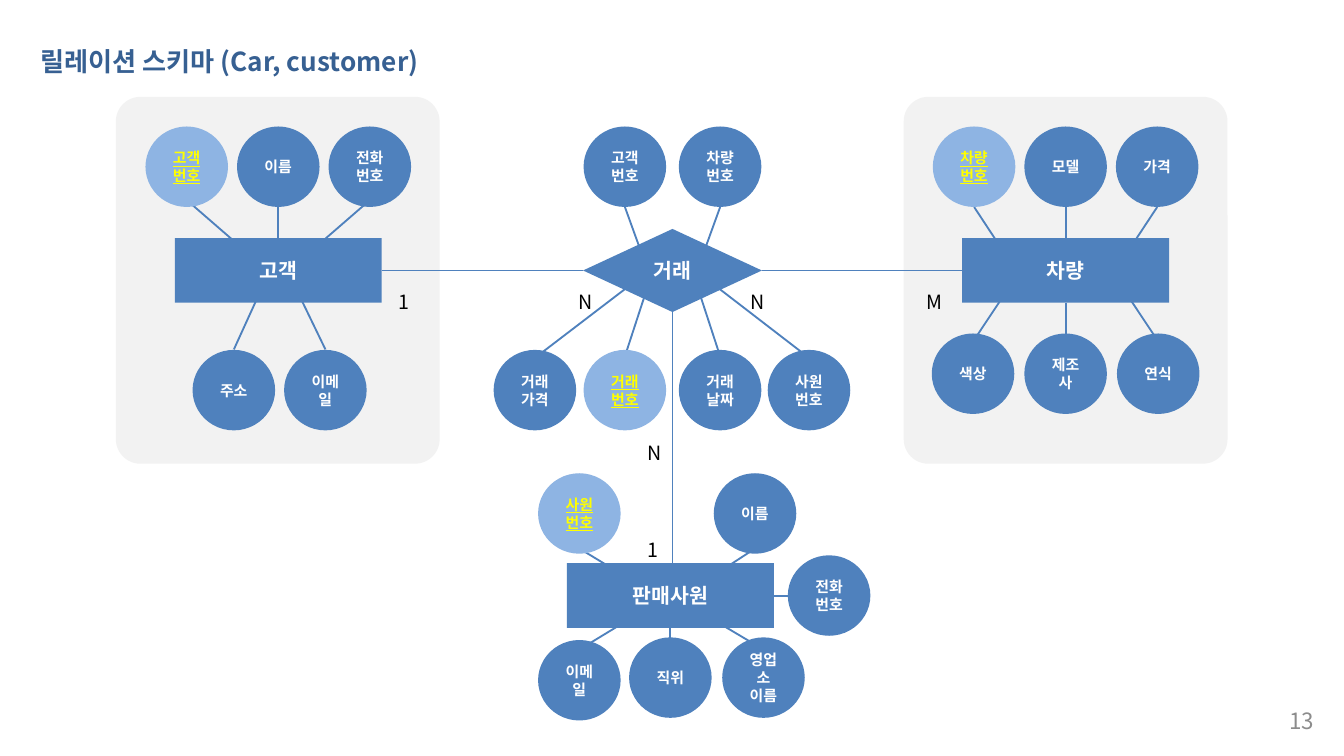
from pptx import Presentation
from pptx.dml.color import RGBColor
from pptx.enum.shapes import MSO_CONNECTOR, MSO_SHAPE as Shape
from pptx.enum.text import MSO_ANCHOR as Anchor, PP_ALIGN as Align
from pptx.oxml.ns import qn
from pptx.util import Cm, Pt
from lxml import etree

FONT = "Noto Sans CJK KR"
BLUE = RGBColor(0x4F, 0x81, 0xBD)
LIGHT_BLUE = RGBColor(0x8E, 0xB4, 0xE3)
TITLE_BLUE = RGBColor(0x37, 0x60, 0x92)
PANEL_GRAY = RGBColor(0xF2, 0xF2, 0xF2)
PAGE_GRAY = RGBColor(0x8C, 0x8C, 0x8C)
YELLOW = RGBColor(0xFF, 0xFF, 0x00)
WHITE = RGBColor(0xFF, 0xFF, 0xFF)
BLACK = RGBColor(0, 0, 0)

CIRCLE = (1.56, 1.52)
BOX = (3.91, 1.22)
DIAMOND = (3.38, 1.57)

# Entities and relationship: shape, size, centre (cm)
NODES = {
    "고객": (Shape.RECTANGLE, BOX, 5.26, 5.11),
    "차량": (Shape.RECTANGLE, BOX, 20.14, 5.11),
    "거래": (Shape.DIAMOND, DIAMOND, 12.71, 5.11),
    "판매사원": (Shape.RECTANGLE, BOX, 12.67, 11.25),
}

# Attribute rows: owner, centre y, link start y, link end y,
# share of the horizontal offset kept at the owner, {centre x: name}
ROWS = [
    ("고객", 3.15, 3.78, 4.65, 0.42, {3.53: "*고객\n번호", 5.26: "이름", 6.99: "전화번호"}),
    ("고객", 7.37, 6.6, 5.46, 0.38, {4.42: "주소", 6.15: "이메일"}),
    ("거래", 3.15, 3.91, 5.03, 0.55, {11.81: "고객번호", 13.61: "차량번호"}),
    ("거래", 7.37, 6.73, 5.49, 0.55, {11.81: "*거래번호", 13.61: "거래날짜"}),
    ("거래", 7.37, 6.76, 5.33, 0.28, {10.11: "거래가격", 15.29: "사원번호"}),
    ("차량", 3.15, 3.91, 4.75, 0.68, {18.41: "*차량\n번호", 20.14: "모델", 21.87: "가격"}),
    ("차량", 7.06, 6.45, 5.61, 0.68, {18.39: "색상", 20.14: "제조사", 21.89: "연식"}),
    ("판매사원", 9.7, 10.36, 10.82, 0.56, {10.95: "*사원번호", 14.27: "이름"}),
    ("판매사원", 12.85, 12.27, 11.81, 0.56, {10.95: "이메일"}),
    ("판매사원", 12.8, 12.27, 11.81, 0.56, {12.67: "직위", 14.43: "영업소\n이름"}),
]

# Cardinalities: text, left, top, alignment
CARDINALITIES = [
    ("1", 7.29, 5.18, Align.LEFT),
    ("N", 10.69, 5.18, Align.CENTER),
    ("N", 13.94, 5.18, Align.CENTER),
    ("M", 17.27, 5.18, Align.CENTER),
    ("N", 11.99, 8.03, Align.CENTER),
    ("1", 11.99, 9.86, Align.LEFT),
]


def write(shape, text, size, color, align, bold=False, underline=None):
    paragraph = shape.text_frame.paragraphs[0]
    paragraph.text = text
    paragraph.alignment = align
    font = paragraph.font
    font.name, font.size, font.bold, font.underline = FONT, Pt(size), bold, underline
    font.color.rgb = color
    for run in paragraph.runs:
        fonts = run._r.get_or_add_rPr()
        etree.SubElement(fonts, qn("a:ea")).set("typeface", FONT)
    return paragraph


def add_filled(slide, kind, left, top, width, height, color):
    shape = slide.shapes.add_shape(kind, Cm(left), Cm(top), Cm(width), Cm(height))
    shape.shadow.inherit = False
    shape.fill.solid()
    shape.fill.fore_color.rgb = color
    shape.line.fill.background()
    return shape


def add_node(slide, kind, size, x, y, text, font_size, fill=BLUE, color=WHITE, underline=None):
    width, height = size
    shape = add_filled(slide, kind, x - width / 2, y - height / 2, width, height, fill)
    shape.text_frame.word_wrap = True
    shape.text_frame.vertical_anchor = Anchor.MIDDLE
    write(shape, text, font_size, color, Align.CENTER, True, underline)
    return shape


def add_attribute(slide, x, y, name):
    """Names that start with * are keys."""
    style = (LIGHT_BLUE, YELLOW, True) if name.startswith("*") else ()
    return add_node(slide, Shape.OVAL, CIRCLE, x, y, name.lstrip("*"), 8, *style)


def add_link(slide, x1, y1, x2, y2):
    link = slide.shapes.add_connector(MSO_CONNECTOR.STRAIGHT, Cm(x1), Cm(y1), Cm(x2), Cm(y2))
    link.line.color.rgb = BLUE
    link.line.width = Pt(1)
    etree.SubElement(link._element.spPr, qn("a:effectLst"))
    return link


def add_row_links(slide, owner, start_y, end_y, share, names):
    """Return the straight links, as (link, owner, side)."""
    centre = NODES[owner][2]
    straight = []
    for x in names:
        link = add_link(slide, x, start_y, centre + (x - centre) * share, end_y)
        if x == centre:
            straight.append((link, owner, 0 if start_y < end_y else 2))
    return straight


def add_text(slide, text, left, top, width, height, size, color, align=Align.LEFT,
             anchor=Anchor.MIDDLE, bold=False):
    box = slide.shapes.add_textbox(Cm(left), Cm(top), Cm(width), Cm(height))
    box.text_frame.word_wrap = True
    box.text_frame.vertical_anchor = anchor
    write(box, text, size, color, align, bold)
    return box


def add_cardinality(slide, text, left, top, align):
    box = add_text(slide, text, left, top, 0.76, 0.74, 10.5, BLACK, align)
    frame = box.text_frame
    frame.word_wrap = False
    frame.margin_top, frame.margin_bottom = 0, Cm(0.13)
    paragraph = frame.paragraphs[0]
    paragraph.line_spacing = 2.0
    properties = paragraph._p.get_or_add_pPr()
    properties.set("marL", str(Cm(0.25)))
    properties.set("indent", str(-Cm(0.25)))


def main():
    presentation = Presentation()
    presentation.slide_width, presentation.slide_height = Cm(25.4), Cm(14.28)
    slide = presentation.slides.add_slide(presentation.slide_layouts[6])

    # Panels behind the two outer entities
    for left in (2.19, 17.08):
        panel = add_filled(slide, Shape.ROUNDED_RECTANGLE, left, 1.83, 6.12, 6.93, PANEL_GRAY)
        panel.adjustments[0] = 0.076

    # Attribute links lie behind the shapes
    straight = []
    for owner, _, start_y, end_y, share, names in ROWS:
        straight += add_row_links(slide, owner, start_y, end_y, share, names)

    # Entities, relationship and attributes
    nodes = {name: add_node(slide, *node, name, 11) for name, node in NODES.items()}
    for _, y, _, _, _, names in ROWS:
        for x, name in names.items():
            add_attribute(slide, x, y, name)
    add_attribute(slide, 15.67, 11.25, "전화번호")
    for link, owner, side in straight:
        link.end_connect(nodes[owner], side)

    # Links between the entities
    for first, second in (("고객", "거래"), ("거래", "차량")):
        link = add_link(slide, 0, 0, 1, 1)
        link.begin_connect(nodes[first], 3)
        link.end_connect(nodes[second], 1)
    add_link(slide, 12.71, 5.9, 12.71, 10.64).begin_connect(nodes["거래"], 2)
    add_link(slide, 14.62, 11.25, 14.89, 11.25).begin_connect(nodes["판매사원"], 3)

    for cardinality in CARDINALITIES:
        add_cardinality(slide, *cardinality)

    # Title and page number
    add_text(slide, "릴레이션 스키마 (Car, customer)", 0.51, 0.74, 9.17, 0.86, 14,
             TITLE_BLUE, anchor=Anchor.TOP, bold=True)
    add_text(slide, "13", 23.67, 13.23, 1.42, 0.76, 12, PAGE_GRAY, Align.RIGHT)

    presentation.save("out.pptx")


if __name__ == "__main__":
    main()
